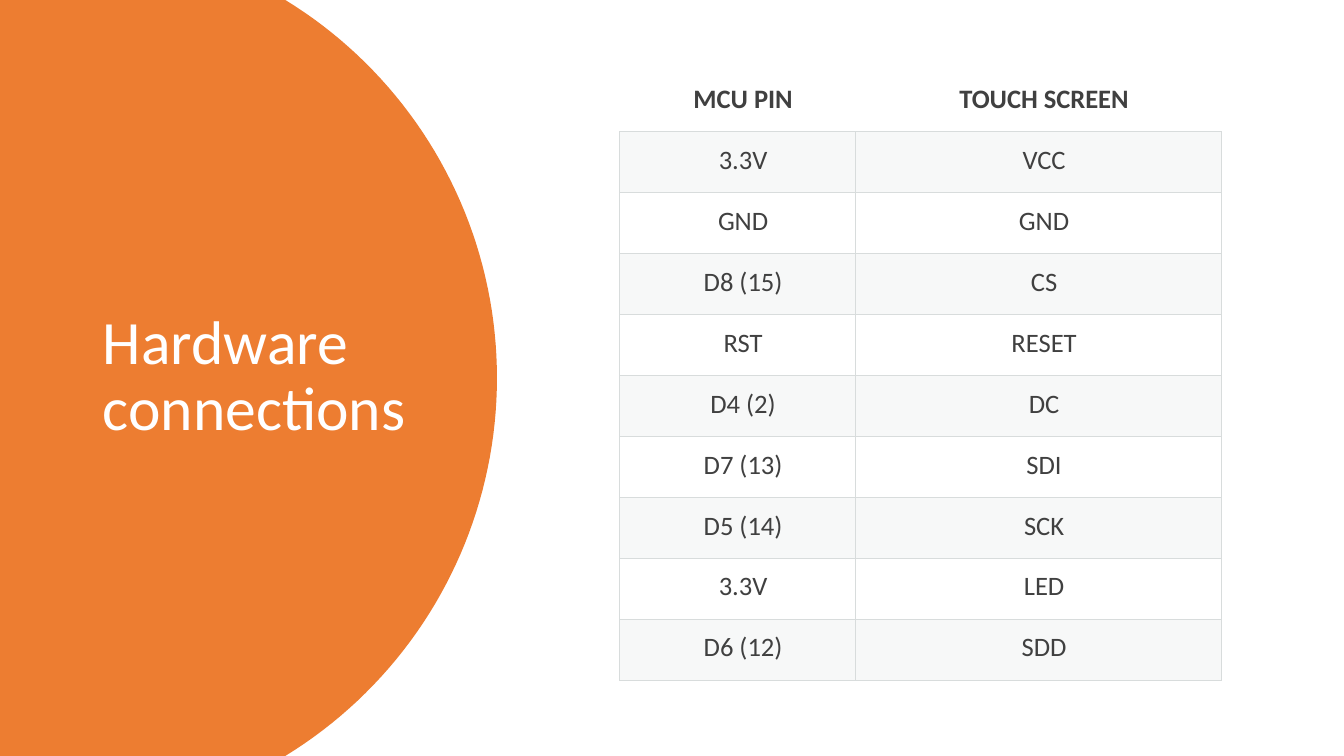
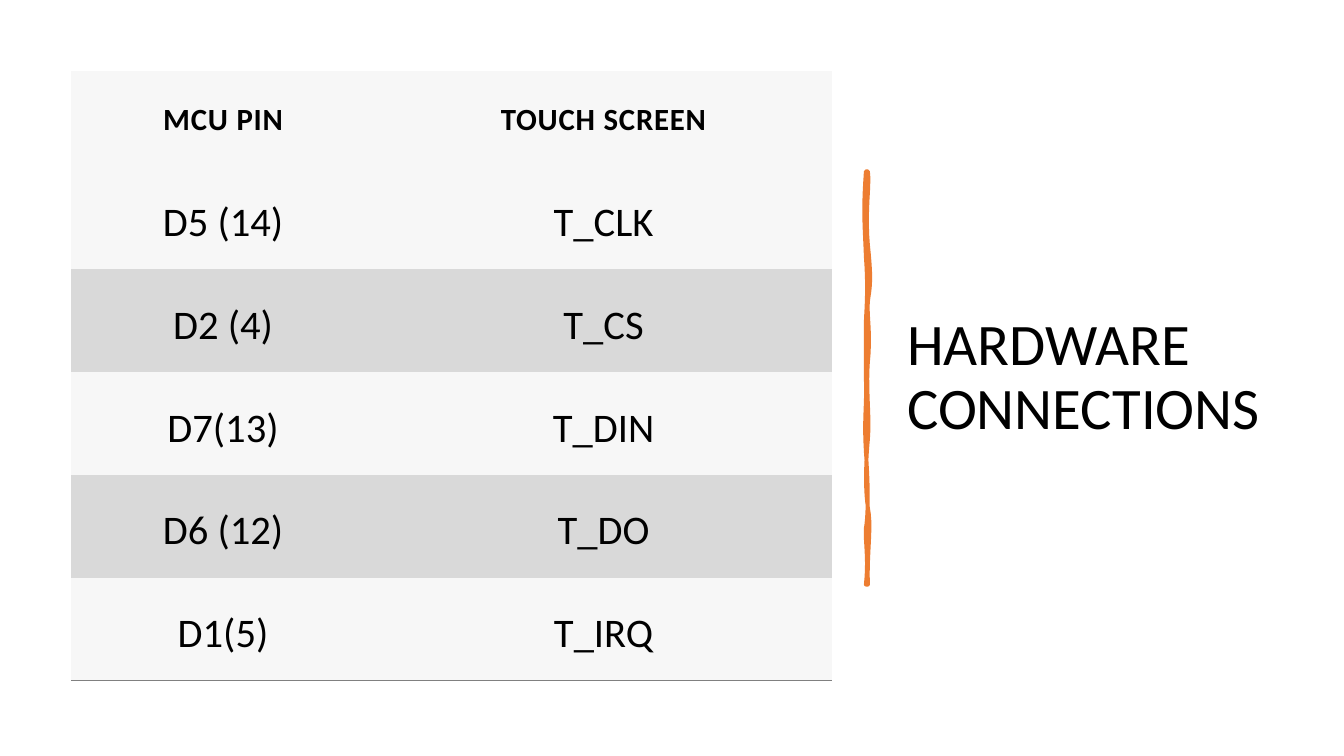
"""Build two slides of wiring tables between a microcontroller and a touch screen."""
import math

import pptx
import pptx.dml.color
import pptx.enum.text
import pptx.oxml
import pptx.oxml.ns
import pptx.util

Pt = pptx.util.Pt
FONT, ORANGE, WHITE, BLACK = "Calibri", "ED7D31", "FFFFFF", "000000"
WIDTH, HEIGHT = 960, 540
HEADER = ("MCU PIN", "TOUCH SCREEN")

DISPLAY = {
    "rows": [HEADER, ("3.3V", "VCC"), ("GND", "GND"), ("D8 (15)", "CS"),
             ("RST", "RESET"), ("D4 (2)", "DC"), ("D7 (13)", "SDI"),
             ("D5 (14)", "SCK"), ("3.3V", "LED"), ("D6 (12)", "SDD")],
    "at": (442.5, 50.4), "cols": (168.6, 261.4), "heights": (43.55, 43.55),
    "head": {"size": 19, "color": "404040", "fill": None, "spc": 0,
             "anchor": "TOP", "insets": (18, 9, 10, 8.6)},
    "body": {"size": 19, "color": "404040", "fill": ("F7F8F8", None), "spc": 0,
             "anchor": "TOP", "insets": (18, 9, 10, 8.6)},
    "grid": ("D8DCDC", 0.75), "rule": None,
}
TOUCH = {
    "rows": [HEADER, ("D5 (14)", "T_CLK"), ("D2 (4)", "T_CS"),
             ("D7(13)", "T_DIN"), ("D6 (12)", "T_DO"), ("D1(5)", "T_IRQ")],
    "at": (50.6, 50.4), "cols": (217.6, 326), "heights": (68.2, 73.55),
    "head": {"size": 22, "color": BLACK, "fill": "F7F7F7", "spc": 60,
             "anchor": "BOTTOM", "insets": (19.4, 19.4, 19.4, 19.4)},
    "body": {"size": 29, "color": BLACK, "fill": ("F7F7F7", "D9D9D9"), "spc": 0,
             "anchor": "TOP", "insets": (44.6, 22.5, 44.6, 13)},
    "grid": None, "rule": ("808080", 0.75),
}
ARC_EDGE, ARC_END = 355, 203.8
BRUSH_RIGHT = [
    (620, 122.4), (621.4, 133.9), (617.8, 149), (620, 175),
    (622.8, 200.9), (621.4, 205.2), (620, 215.3),
    (619.2, 225.4), (622.1, 238.3), (620, 258.5),
    (618.5, 278.6), (621.4, 297.4), (620, 313.9),
    (618.5, 329.8), (617.8, 349.2), (620, 362.9),
    (622.8, 376.6), (619.2, 394.6), (620, 417.6)]
BRUSH_LEFT = [
    (618.5, 417.6), (620.6, 398.9), (617.8, 385.9), (618.5, 377.3),
    (620, 369.4), (620.6, 347.8), (618.5, 322.6),
    (617, 297.4), (619.2, 292.3), (618.5, 270),
    (618.5, 248.4), (618.5, 245.5), (618.5, 229.7),
    (619.2, 214.6), (620, 205.2), (618.5, 183.6),
    (617.8, 162.7), (616.3, 152.6), (618.5, 122.4)]


def rgb(color):
    return pptx.dml.color.RGBColor.from_string(color)


def put(obj, values):
    for name, value in values.items():
        setattr(obj, name, value)


def style_font(font, size, color, bold=False):
    put(font, {"name": FONT, "size": Pt(size), "bold": bold})
    font.color.rgb = rgb(color)


def add_title(s, text, box, size, color):
    sp = s.shapes.title
    put(sp, dict(zip(("left", "top", "width", "height"), map(Pt, box))))
    tf = sp.text_frame
    tf.text = text
    put(tf, {"word_wrap": True, "auto_size": pptx.enum.text.MSO_AUTO_SIZE.NONE,
             "vertical_anchor": pptx.enum.text.MSO_ANCHOR.MIDDLE})
    p = tf.paragraphs[0]
    put(p, {"alignment": pptx.enum.text.PP_ALIGN.LEFT, "line_spacing": 0.9})
    style_font(p.runs[0].font, size, color)


def add_outline(s, points, line_width=0):
    points = [(Pt(x), Pt(y)) for x, y in points]
    builder = s.shapes.build_freeform(*points[0], scale=1.0)
    builder.add_line_segments(points[1:], close=True)
    sp = builder.convert_to_shape()
    sp.shadow.inherit = False
    sp.fill.solid()
    sp.fill.fore_color.rgb = rgb(ORANGE)
    if line_width:
        sp.line.color.rgb = rgb(ORANGE)
        sp.line.width = Pt(line_width)
    else:
        sp.line.fill.background()
    s.shapes._spTree.insert(2, sp._element)


def arc_points(steps=80):
    half, depth = HEIGHT / 2, ARC_EDGE - ARC_END
    radius = (depth ** 2 + half ** 2) / (2 * depth)
    limit = math.asin(half / radius)
    angles = [limit * (2 * i / steps - 1) for i in range(steps + 1)]
    return [(ARC_EDGE - radius + radius * math.cos(a), half + radius * math.sin(a))
            for a in angles]


def curve_points(nodes, steps=10):
    points = [nodes[0]]
    for start in range(0, len(nodes) - 1, 3):
        ctrl = nodes[start:start + 4]
        for i in range(1, steps + 1):
            t = i / steps
            weights = [math.comb(3, k) * t ** k * (1 - t) ** (3 - k) for k in range(4)]
            points.append(tuple(sum(w * c[axis] for w, c in zip(weights, ctrl))
                                for axis in (0, 1)))
    return points


def set_borders(cell, borders):
    for side in "LRTB":
        color, width = borders.get(side) or (None, 0)
        fill = (f'<a:solidFill><a:srgbClr val="{color}"/></a:solidFill>'
                if color else "<a:noFill/>")
        cell._tc.get_or_add_tcPr().append(pptx.oxml.parse_xml(
            f'<a:ln{side} {pptx.oxml.ns.nsdecls("a")} w="{Pt(width)}">{fill}</a:ln{side}>'))


def fill_cell(cell, text, look, fill, borders, bold):
    set_borders(cell, borders)
    if fill:
        cell.fill.solid()
        cell.fill.fore_color.rgb = rgb(fill)
    else:
        cell.fill.background()
    sides = ("margin_left", "margin_top", "margin_right", "margin_bottom")
    put(cell, dict(zip(sides, map(Pt, look["insets"]))))
    cell.vertical_anchor = pptx.enum.text.MSO_ANCHOR[look["anchor"]]
    p = cell.text_frame.paragraphs[0]
    p.alignment = pptx.enum.text.PP_ALIGN.CENTER
    r = p.add_run()
    r.text = text
    style_font(r.font, look["size"], look["color"], bold)
    if look["spc"]:
        r.font._element.set("spc", str(look["spc"]))


def add_wiring(s, wiring):
    rows, cols = wiring["rows"], wiring["cols"]
    head_height, body_height = wiring["heights"]
    heights = [head_height] + [body_height] * (len(rows) - 1)
    box = (*wiring["at"], sum(cols), sum(heights))
    table = s.shapes.add_table(len(rows), len(cols), *map(Pt, box)).table
    put(table, {"first_row": False, "horz_banding": False})
    for column, width in zip(table.columns, cols):
        column.width = Pt(width)
    for i, row in enumerate(rows):
        table.rows[i].height = Pt(heights[i])
        look = wiring["body" if i else "head"]
        fill = look["fill"][(i - 1) % 2] if i else look["fill"]
        borders = dict.fromkeys("LRTB" if i else "B", wiring["grid"])
        if i == len(rows) - 1 and wiring["rule"]:
            borders["B"] = wiring["rule"]
        for j, text in enumerate(row):
            fill_cell(table.cell(i, j), text, look, fill, borders, i == 0)


def main():
    prs = pptx.Presentation()
    put(prs, {"slide_width": Pt(WIDTH), "slide_height": Pt(HEIGHT)})
    layout = prs.slide_layouts.get_by_name("Title Only")

    s = prs.slides.add_slide(layout)
    add_outline(s, [(0, 0), *arc_points(), (0, HEIGHT)])
    add_title(s, "Hardware connections", (66.2, 50.4, 232.6, 438.5), 44, WHITE)
    add_wiring(s, DISPLAY)

    s = prs.slides.add_slide(layout)
    add_title(s, "HARDWARE CONNECTIONS", (640.8, 50.4, 269.3, 440), 42, BLACK)
    add_outline(s, curve_points(BRUSH_RIGHT) + curve_points(BRUSH_LEFT), 2.75)
    add_wiring(s, TOUCH)
    prs.save("out.pptx")


if __name__ == "__main__":
    main()
